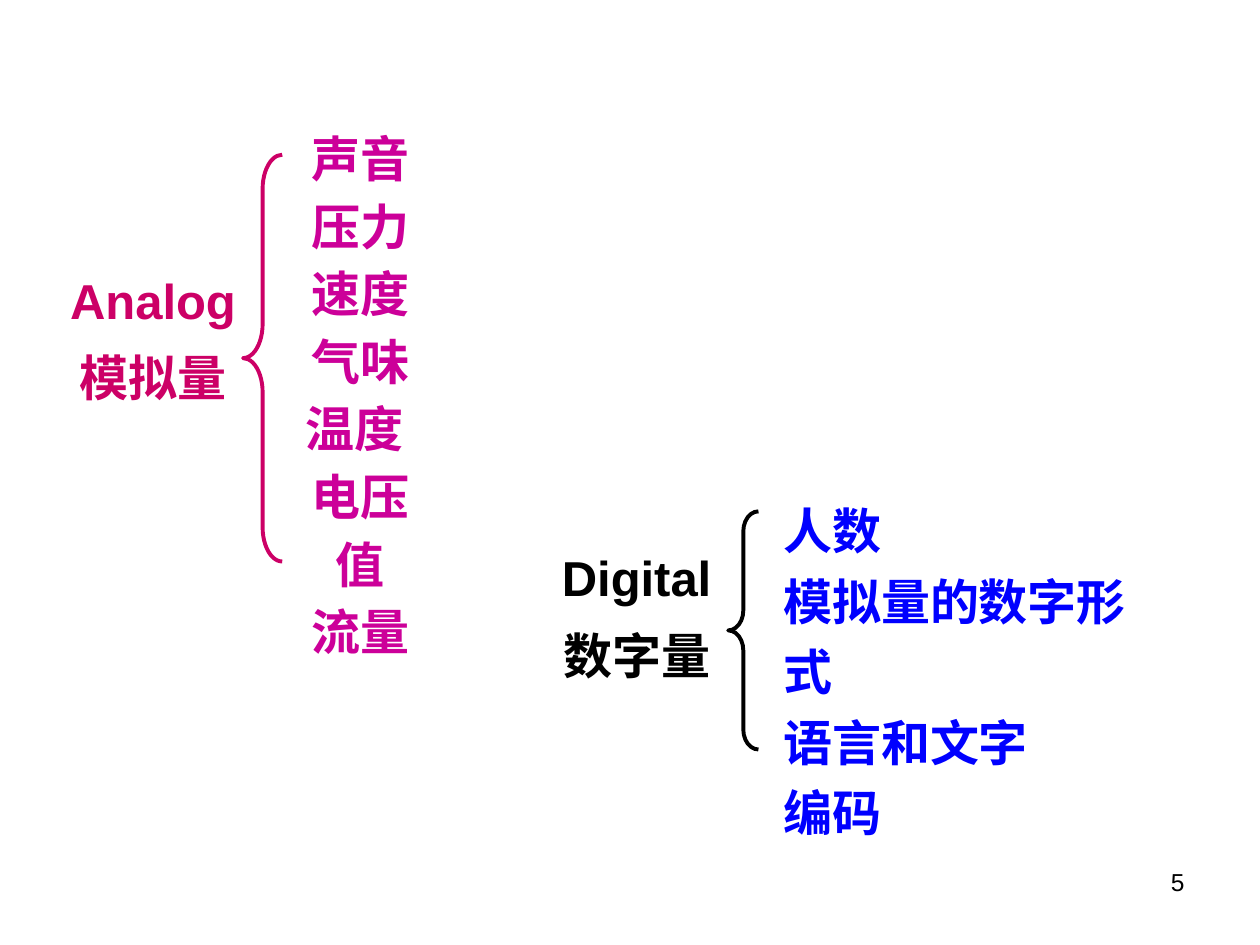
from dataclasses import dataclass

from pptx import Presentation
from pptx.dml.color import RGBColor
from pptx.enum.shapes import MSO_SHAPE
from pptx.enum.text import MSO_AUTO_SIZE, PP_ALIGN
from pptx.util import Cm, Pt

Box = tuple[float, float, float, float]


@dataclass(frozen=True)
class Group:
    """A label, a brace and the list of examples it opens; boxes are in cm."""
    label: tuple[str, str]
    label_box: Box
    color: str
    brace_box: Box
    brace_curve: float
    items: tuple[str, ...]
    items_box: Box
    items_color: str
    items_format: dict


GROUPS = (
    Group(("Analog", "模拟量"), (1.09, 5.33, 3.99, 3), "CC0066",
          (4.9, 3.12, 0.79, 8.2), 0.87,
          ("声音", "压力", "速度", "气味", "温度 ", "电压值", "流量"),
          (5.54, 2.29, 3.45, 9.8), "CC0099",
          {"alignment": PP_ALIGN.CENTER, "line_spacing": 1.15}),
    Group(("Digital", "数字量"), (10.69, 10.92, 4.29, 3), "000000",
          (14.68, 10.31, 0.61, 4.8), 0.66,
          ("人数", "模拟量的数字形式", "语言和文字", "编码"),
          (15.54, 9.73, 8.38, 5.94), "0000FF",
          {"alignment": PP_ALIGN.LEFT, "line_spacing": 1.2}),
)
HEADING = {"size": Pt(28), "bold": True}


def rgb(color: str) -> RGBColor:
    return RGBColor.from_string(color)


def apply(target, values: dict) -> None:
    for name, value in values.items():
        setattr(target, name, value)


def add_text(s, box: Box, lines, color: str, font: dict, para: dict,
             wrap: bool = True, fonts=("Arial",), gap: float = 0) -> None:
    """Add one paragraph per line; the last of fonts serves the remaining lines."""
    tf = s.shapes.add_textbox(*map(Cm, box)).text_frame
    apply(tf, {"word_wrap": wrap, "auto_size": MSO_AUTO_SIZE.SHAPE_TO_FIT_TEXT})
    for i, line in enumerate(lines):
        p = tf.add_paragraph() if i else tf.paragraphs[0]
        apply(p, para)
        if i and gap:
            p.space_before = Pt(gap)
        r = p.add_run()
        r.text = line
        apply(r.font, font | {"name": fonts[min(i, len(fonts) - 1)]})
        r.font.color.rgb = rgb(color)


def add_brace(s, box: Box, curve: float, color: str) -> None:
    sp = s.shapes.add_shape(MSO_SHAPE.LEFT_BRACE, *map(Cm, box))
    sp.shadow.inherit = False
    sp.adjustments[0] = curve
    sp.fill.background()
    sp.line.color.rgb = rgb(color)
    sp.line.width = Pt(2.25)


def add_group(s, group: Group) -> None:
    add_text(s, group.label_box, group.label, group.color, HEADING,
             {"alignment": PP_ALIGN.CENTER},
             fonts=("Arial", "Times New Roman"), gap=10.5)
    add_brace(s, group.brace_box, group.brace_curve, group.color)
    add_text(s, group.items_box, group.items, group.items_color, HEADING,
             group.items_format, wrap=False)


def main() -> None:
    prs = Presentation()
    apply(prs, {"slide_width": Cm(25.4), "slide_height": Cm(19.05)})
    s = prs.slides.add_slide(prs.slide_layouts[6])
    for group in GROUPS:
        add_group(s, group)
    add_text(s, (18.21, 17.35, 5.92, 1.32), ("5",), "000000",
             {"size": Pt(14)}, {"alignment": PP_ALIGN.RIGHT})
    prs.save("out.pptx")


if __name__ == "__main__":
    main()
